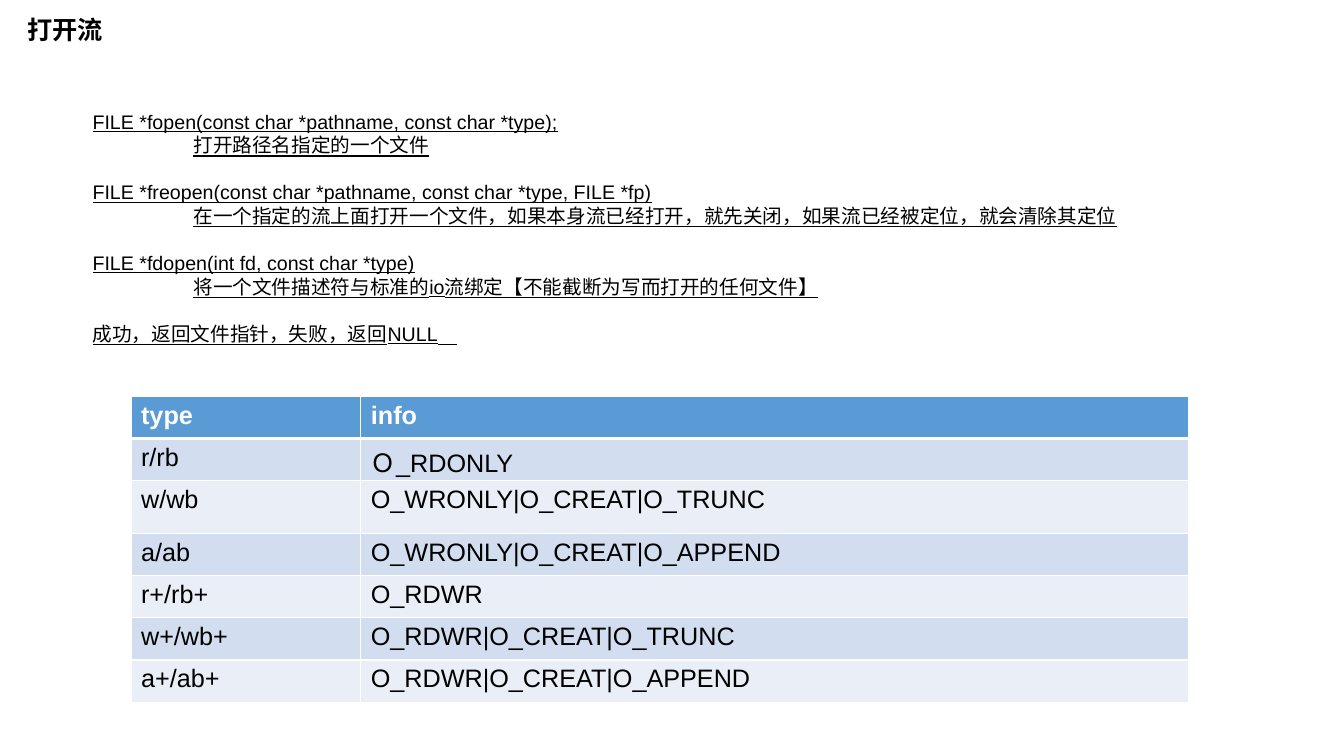
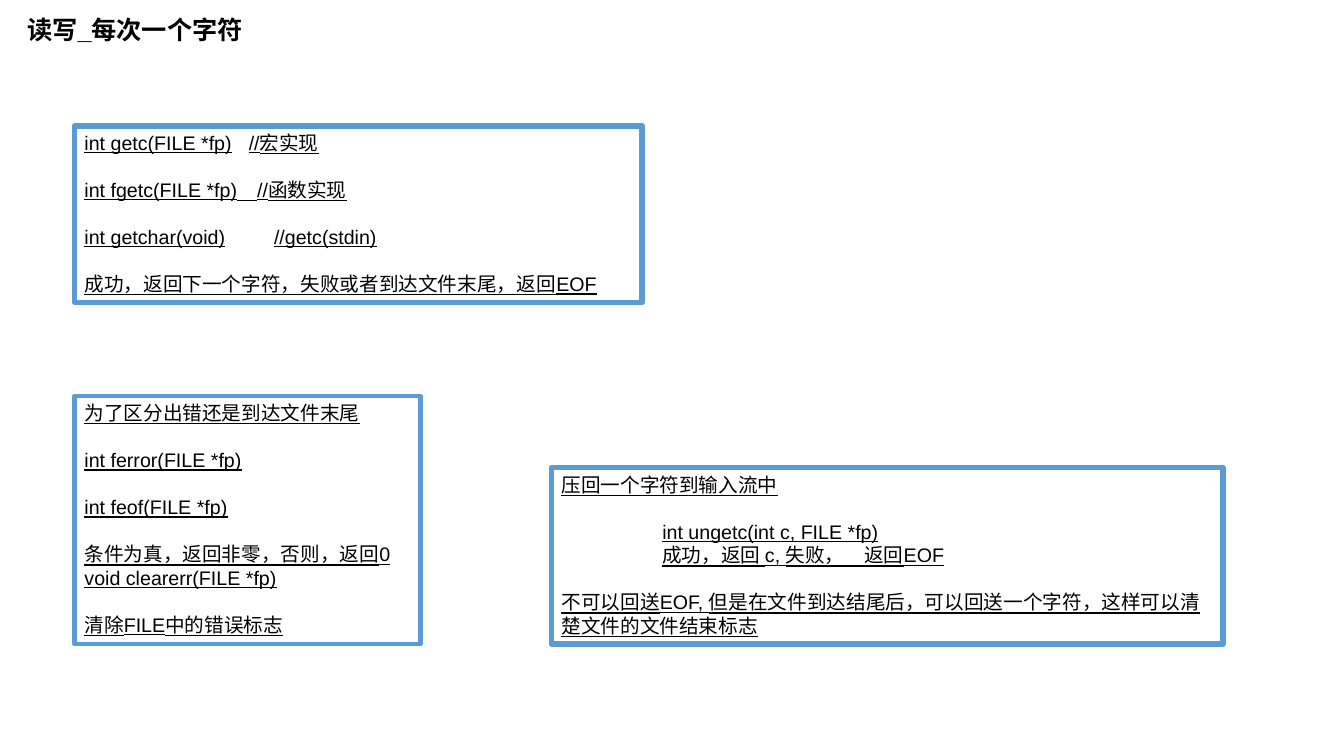
from dataclasses import dataclass
from typing import Optional

from lxml import etree
from pptx import Presentation
from pptx.dml.color import RGBColor
from pptx.enum.text import MSO_ANCHOR, PP_ALIGN
from pptx.oxml.ns import qn
from pptx.util import Inches, Pt

LEFT = PP_ALIGN.LEFT
TOP = MSO_ANCHOR.TOP

SLIDE_W, SLIDE_H = Inches(13.33), Inches(7.5)
FONT = "Arial"
BLACK, WHITE = "000000", "FFFFFF"
BLUE = "5B9BD5"
BANDS = ("D2DEEF", "EAEFF7")
TITLE_SIZE, BODY_SIZE = 18, 14
GAP = 16.8
INDENT = Inches(1)
LOWER_TOP = 52.4


@dataclass(frozen=True)
class Area:
    """Position and size as percentages of the slide."""
    left: float
    top: float
    width: float
    height: float

    def emu(self) -> tuple[int, int, int, int]:
        return (share_x(self.left), share_y(self.top),
                share_x(self.width), share_y(self.height))


@dataclass(frozen=True)
class Line:
    text: str
    gap: bool = False
    indent: bool = False
    tab: Optional[float] = None


@dataclass(frozen=True)
class Box:
    area: Area
    lines: tuple[Line, ...]
    border: float = 0


def share_x(percent: float) -> int:
    return round(SLIDE_W * percent / 100)


def share_y(percent: float) -> int:
    return round(SLIDE_H * percent / 100)


def rgb(value: str) -> RGBColor:
    return RGBColor.from_string(value)


def set_font(p, size: float, color: str = BLACK,
             bold: bool = False, underline: bool = False) -> None:
    font = p.font
    font.name, font.size = FONT, Pt(size)
    font.bold, font.underline = bold, underline
    font.color.rgb = rgb(color)


def add_tab_stop(p, inches: float) -> None:
    tabs = etree.SubElement(p._p.get_or_add_pPr(), qn("a:tabLst"))
    etree.SubElement(tabs, qn("a:tab"), pos=str(Inches(inches)), algn="l")


def add_text_frame(s, area: Area, border: float = 0):
    sp = s.shapes.add_textbox(*area.emu())
    if border:
        sp.line.color.rgb = rgb(BLUE)
        sp.line.width = Pt(border)
    tf = sp.text_frame
    tf.word_wrap = True
    tf.vertical_anchor = TOP
    return tf


def add_title(s, text: str, width: float) -> None:
    p = add_text_frame(s, Area(1.28, 1.2, width, 5.33)).paragraphs[0]
    p.text = text
    set_font(p, TITLE_SIZE, bold=True)


def add_box(s, box: Box) -> None:
    tf = add_text_frame(s, box.area, box.border)
    for i, line in enumerate(box.lines):
        p = tf.add_paragraph() if i else tf.paragraphs[0]
        p.text = line.text
        p.alignment = LEFT
        if line.gap:
            p.space_before = Pt(GAP)
        if line.indent:
            p._p.get_or_add_pPr().set("marL", str(INDENT))
        if line.tab:
            add_tab_stop(p, line.tab)
        set_font(p, BODY_SIZE, underline=True)


def add_borders(cell, bottom: float) -> None:
    tc_pr = cell._tc.get_or_add_tcPr()
    for side, width in (("L", 1), ("R", 1), ("T", 1), ("B", bottom)):
        ln = etree.SubElement(tc_pr, qn(f"a:ln{side}"), w=str(Pt(width)))
        fill = etree.SubElement(ln, qn("a:solidFill"))
        etree.SubElement(fill, qn("a:srgbClr"), val=WHITE)


def add_mode_table(s) -> None:
    area = Area(9.75, LOWER_TOP, sum(COLUMNS), sum(ROWS))
    table = s.shapes.add_table(len(ROWS), len(COLUMNS), *area.emu()).table
    for column, width in zip(table.columns, COLUMNS):
        column.width = share_x(width)
    for r, (height, values) in enumerate(zip(ROWS, MODES)):
        table.rows[r].height = share_y(height)
        header = r == 0
        for c, text in enumerate(values):
            cell = table.cell(r, c)
            add_borders(cell, 3 if header or False else 1)
            cell.fill.solid()
            cell.fill.fore_color.rgb = rgb(BLUE if header else BANDS[(r - 1) % 2])
            p = cell.text_frame.paragraphs[0]
            p.text = text
            set_font(p, TITLE_SIZE, WHITE if header else BLACK, bold=header)


COLUMNS = (17.1, 61.59)
ROWS = (5.6, 5.6, 6.93, 5.6, 5.6, 5.6, 5.6)
MODES = (
    ("type", "info"),
    ("r/rb", "Ｏ_RDONLY"),
    ("w/wb", "O_WRONLY|O_CREAT|O_TRUNC"),
    ("a/ab", "O_WRONLY|O_CREAT|O_APPEND"),
    ("r+/rb+", "O_RDWR"),
    ("w+/wb+", "O_RDWR|O_CREAT|O_TRUNC"),
    ("a+/ab+", "O_RDWR|O_CREAT|O_APPEND"),
)

OPEN_FUNCTIONS = Box(Area(6.15, 13.87, 91.22, 32.8), (
    Line("FILE *fopen(const char *pathname, const char *type);"),
    Line("打开路径名指定的一个文件", indent=True),
    Line("FILE *freopen(const char *pathname, const char *type, FILE *fp)", gap=True),
    Line("在一个指定的流上面打开一个文件，如果本身流已经打开，就先关闭，"
         "如果流已经被定位，就会清除其定位", indent=True),
    Line("FILE *fdopen(int fd, const char *type)", gap=True),
    Line("将一个文件描述符与标准的io流绑定【不能截断为写而打开的任何文件】", indent=True),
    Line("成功，返回文件指针，失败，返回NULL　", gap=True),
))

CHARACTER_BOXES = (
    Box(Area(5.55, 16.67, 42.24, 23.33), (
        Line("int getc(FILE *fp)\t//宏实现", tab=1.63),
        Line("int fgetc(FILE *fp)　//函数实现", gap=True),
        Line("int getchar(void)\t//getc(stdin)", gap=True, tab=1.88),
        Line("成功，返回下一个字符，失败或者到达文件末尾，返回EOF", gap=True),
    ), border=4),
    Box(Area(5.55, LOWER_TOP, 25.73, 32.8), (
        Line("为了区分出错还是到达文件末尾"),
        Line("int ferror(FILE *fp)", gap=True),
        Line("int feof(FILE *fp)", gap=True),
        Line("条件为真，返回非零，否则，返回0", gap=True),
        Line("void clearerr(FILE *fp)"),
        Line("清除FILE中的错误标志", gap=True),
    ), border=3.25),
    Box(Area(41.04, 61.87, 49.96, 23.33), (
        Line("压回一个字符到输入流中"),
        Line("int ungetc(int c, FILE *fp)", gap=True, indent=True),
        Line("成功，返回 c, 失败，　返回EOF", indent=True),
        Line("不可以回送EOF, 但是在文件到达结尾后，可以回送一个字符，"
             "这样可以清楚文件的文件结束标志", gap=True),
    ), border=4),
)


def main() -> None:
    prs = Presentation()
    prs.slide_width, prs.slide_height = SLIDE_W, SLIDE_H
    blank = prs.slide_layouts[6]

    s = prs.slides.add_slide(blank)
    add_title(s, "打开流", 19.95)
    add_box(s, OPEN_FUNCTIONS)
    add_mode_table(s)

    s = prs.slides.add_slide(blank)
    add_title(s, "读写_每次一个字符", 53.26)
    for box in CHARACTER_BOXES:
        add_box(s, box)

    prs.save("out.pptx")


if __name__ == "__main__":
    main()
